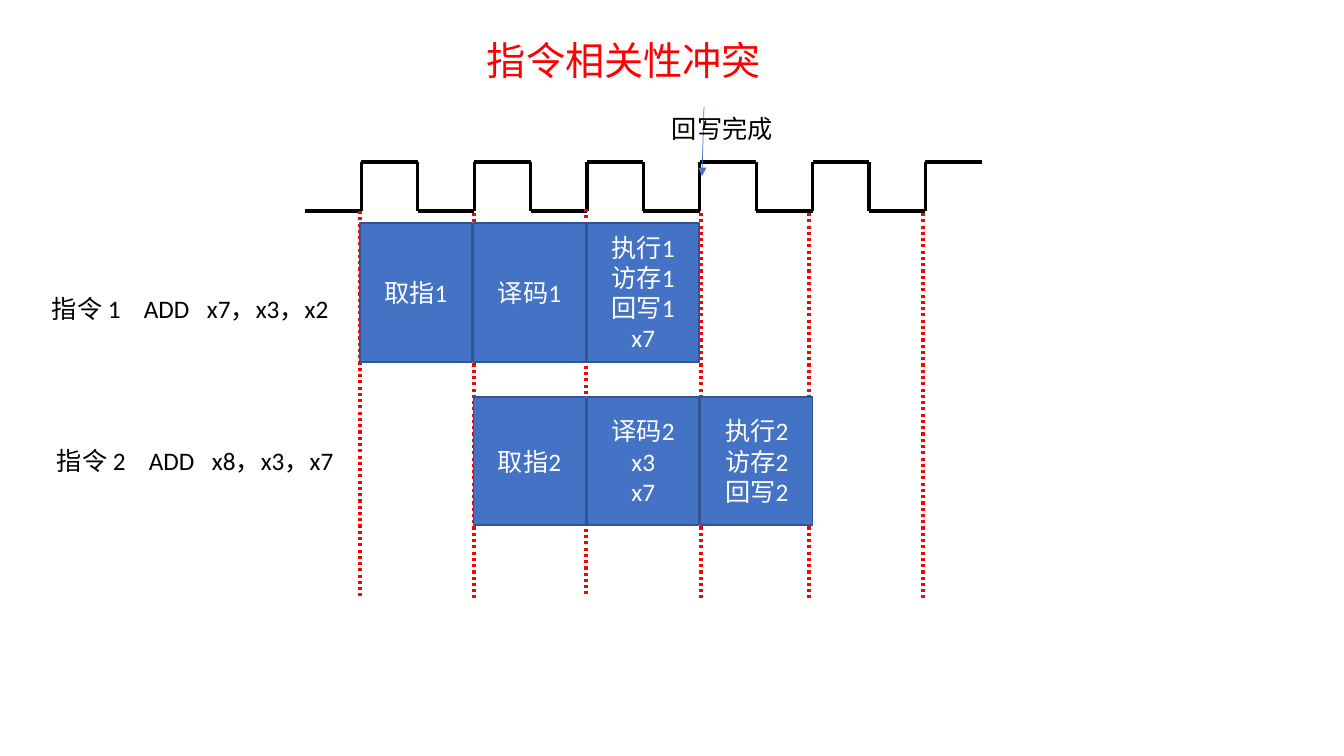
import pptx
import pptx.util
import pptx.dml.color
import pptx.enum.dml
import pptx.enum.shapes
import pptx.enum.text
import pptx.oxml.ns
from lxml import etree

COLORS = {"title": "FF0000", "text": "000000", "clock": "000000", "guide": "FF0000",
          "stage": "4472C4", "border": "325491", "stage_text": "FFFFFF"}
FONT = "Calibri"

TEXTS = [
    ("指令相关性冲突", (477, 31, 562, 57), 28, "title"),
    ("指令 1\tADD\tx7，x3，x2", (42, 288, 304, 40), 18, "text"),
    ("指令 2\tADD\tx8，x3，x7", (47, 440, 304, 40), 18, "text"),
]
WRITE_BACK = ("回写完成", (662, 108, 158, 40), 18, "text")
TAB_STOPS = (92, 155)

ROWS = [
    (0, 223, 139, ["取指1", "译码1", "执行1\n访存1\n回写1\nx7"]),
    (1, 397, 128, ["取指2", "译码2\nx3\nx7", "执行2\n访存2\n回写2"]),
]
STAGE_LEFT, STAGE_PITCH, STAGE_WIDTH = 360, 113.6, 112

CLOCK_LEFT, HALF_PERIOD, HALF_PERIODS = 305, 56.4, 12
CLOCK_HIGH, CLOCK_LOW = 162, 211
GUIDES = [(360, 211), (474, 213), (586, 209), (701, 213), (809, 213), (923, 213)]
GUIDE_LENGTH = 385
ARROW = (704, 107, 702, 176)


def px(n):
    return pptx.util.Emu(round(n * 914400 / 100.8))


def rgb(name):
    return pptx.dml.color.RGBColor.from_string(COLORS[name])


def add_line(slide, x1, y1, x2, y2, color, width=2.25):
    line = slide.shapes.add_connector(pptx.enum.shapes.MSO_CONNECTOR.STRAIGHT,
                                      px(x1), px(y1), px(x2), px(y2))
    line.line.color.rgb = rgb(color)
    line.line.width = pptx.util.Pt(width)
    etree.SubElement(line._element.spPr, pptx.oxml.ns.qn("a:effectLst"))
    return line


def style(p, size, color):
    p.font.name = FONT
    p.font.size = pptx.util.Pt(size)
    p.font.color.rgb = rgb(color)


def add_text(slide, text, box, size, color):
    sp = slide.shapes.add_textbox(*map(px, box))
    tf = sp.text_frame
    tf.word_wrap = True
    tf.auto_size = pptx.enum.text.MSO_AUTO_SIZE.SHAPE_TO_FIT_TEXT
    p = tf.paragraphs[0]
    p.text = text
    if "\t" in text:
        tabs = etree.SubElement(p._p.get_or_add_pPr(), pptx.oxml.ns.qn("a:tabLst"))
        for stop in TAB_STOPS:
            etree.SubElement(tabs, pptx.oxml.ns.qn("a:tab"), pos=str(px(stop)), algn="l")
    style(p, size, color)


def add_stage(slide, text, x, y, height):
    sp = slide.shapes.add_shape(pptx.enum.shapes.MSO_SHAPE.RECTANGLE,
                                px(x), px(y), px(STAGE_WIDTH), px(height))
    sp.shadow.inherit = False
    sp.fill.solid()
    sp.fill.fore_color.rgb = rgb("stage")
    sp.line.color.rgb = rgb("border")
    sp.line.width = pptx.util.Pt(1)
    tf = sp.text_frame
    tf.word_wrap = True
    tf.vertical_anchor = pptx.enum.text.MSO_ANCHOR.MIDDLE
    tf.text = text
    for p in tf.paragraphs:
        p.alignment = pptx.enum.text.PP_ALIGN.CENTER
        style(p, 18, "stage_text")


def add_clock(slide):
    for i in range(HALF_PERIODS):
        x = CLOCK_LEFT + i * HALF_PERIOD
        y = CLOCK_HIGH if i % 2 else CLOCK_LOW
        if i:
            add_line(slide, x, CLOCK_HIGH, x, CLOCK_LOW, "clock")
        add_line(slide, x, y, x + HALF_PERIOD, y, "clock")


def main():
    prs = pptx.Presentation()
    prs.slide_width, prs.slide_height = px(1344), px(756)
    slide = prs.slides.add_slide(prs.slide_layouts[6])

    add_clock(slide)
    for x, y in GUIDES:
        guide = add_line(slide, x, y, x, y + GUIDE_LENGTH, "guide")
        guide.line.dash_style = pptx.enum.dml.MSO_LINE.ROUND_DOT
    for offset, y, height, stages in ROWS:
        for i, text in enumerate(stages, offset):
            add_stage(slide, text, STAGE_LEFT + i * STAGE_PITCH, y, height)
    for item in TEXTS:
        add_text(slide, *item)

    arrow = add_line(slide, *ARROW, "stage", 0.5)
    etree.SubElement(arrow.line._get_or_add_ln(), pptx.oxml.ns.qn("a:tailEnd"), type="triangle")
    add_text(slide, *WRITE_BACK)

    prs.save("out.pptx")


if __name__ == "__main__":
    main()
